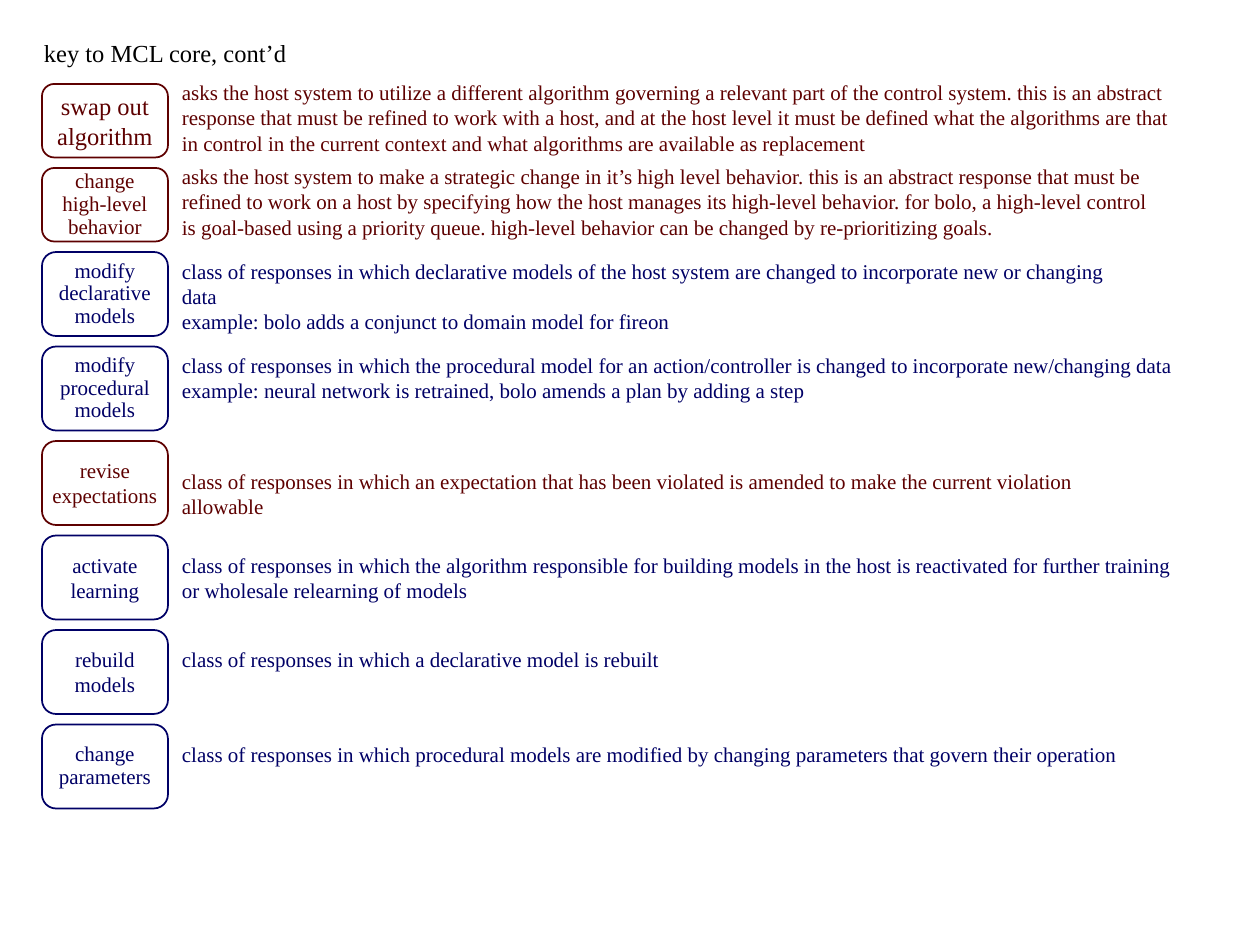
import pptx
import pptx.dml.color
import pptx.enum.shapes
import pptx.enum.text
import pptx.util

COLORS = {"title": "000000", "red": "5E0000", "blue": "000066"}
COLUMNS, ROWS = 120, 90  # twelve grid steps to the inch

# (box top, box height, text top, text width, colour, label size, label spacing,
#  label, description), lengths in grid steps
RESPONSES = [
    (8, 7, 7, 96.5, "red", 14, 1, ["swap out", "algorithm"], [
        "asks the host system to utilize a different algorithm governing a relevant part of the control system. this is an abstract",
        "response that must be refined to work with a host, and at the host level it must be defined what the algorithms are that",
        "in control in the current context and what algorithms are available as replacement"]),
    (16, 7, 15, 94.6, "red", 12, 0.9, ["change", "high-level", "behavior"], [
        "asks the host system to make a strategic change in it’s high level behavior. this is an abstract response that must be",
        "refined to work on a host by specifying how the host manages its high-level behavior. for bolo, a high-level control",
        "is goal-based using a priority queue. high-level behavior can be changed by re-prioritizing goals."]),
    (24, 8, 24, 94.1, "blue", 12, 0.9, ["modify", "declarative", "models"], [
        "class of responses in which declarative models of the host system are changed to incorporate new or changing data",
        "example: bolo adds a conjunct to domain model for fireon"]),
    (33, 8, 33, 96.8, "blue", 12, 0.9, ["modify", "procedural", "models"], [
        "class of responses in which the procedural model for an action/controller is changed to incorporate new/changing data",
        "example: neural network is retrained, bolo amends a plan by adding a step"]),
    (42, 8, 44, 95.5, "red", 12, 1, ["revise", "expectations"], [
        "class of responses in which an expectation that has been violated is amended to make the current violation allowable"]),
    (51, 8, 52, 97.2, "blue", 12, 1, ["activate", "learning"], [
        "class of responses in which the algorithm responsible for building models in the host is reactivated for further training",
        "or wholesale relearning of models"]),
    (60, 8, 61, 47.9, "blue", 12, 1, ["rebuild", "models"], [
        "class of responses in which a declarative model is rebuilt"]),
    (69, 8, 70, 91.6, "blue", 12, 0.9, ["change", "parameters"], [
        "class of responses in which procedural models are modified by changing parameters that govern their operation"]),
]


class KeyPage:
    """Holds the style and the current slide; lengths are grid steps."""

    font = "Times New Roman"

    def __init__(self, deck):
        self.page = deck.slides.add_slide(deck.slide_layouts[6])
        self.column = deck.slide_width / COLUMNS
        self.row = deck.slide_height / ROWS

    def place(self, left, top, width, height):
        return (round(left * self.column), round(top * self.row),
                round(width * self.column), round(height * self.row))

    def color(self, name):
        return pptx.dml.color.RGBColor.from_string(COLORS[name])

    def fill_lines(self, frame, lines, size, color, align, spacing=1):
        frame.word_wrap = False
        for index, line in enumerate(lines):
            para = frame.add_paragraph() if index else frame.paragraphs[0]
            para.text = line
            para.alignment = align
            para.line_spacing = spacing
            para.font.name = self.font
            para.font.size = pptx.util.Pt(size)
            para.font.color.rgb = self.color(color)

    def text(self, left, top, width, lines, size, color):
        height = 1.2 + len(lines) * size * 0.2
        box = self.page.shapes.add_textbox(*self.place(left, top, width, height))
        self.fill_lines(box.text_frame, lines, size, color, pptx.enum.text.PP_ALIGN.LEFT)
        box.text_frame.auto_size = pptx.enum.text.MSO_AUTO_SIZE.SHAPE_TO_FIT_TEXT

    def label(self, top, height, lines, size, color, spacing):
        box = self.page.shapes.add_shape(
            pptx.enum.shapes.MSO_SHAPE.ROUNDED_RECTANGLE, *self.place(4, top, 12, height))
        box.shadow.inherit = False
        box.fill.background()
        box.line.color.rgb = self.color(color)
        box.line.width = pptx.util.Pt(1)
        box.text_frame.vertical_anchor = pptx.enum.text.MSO_ANCHOR.MIDDLE
        self.fill_lines(box.text_frame, lines, size, color,
                        pptx.enum.text.PP_ALIGN.CENTER, spacing)


def main():
    deck = pptx.Presentation()
    deck.slide_width = pptx.util.Inches(10)
    deck.slide_height = pptx.util.Inches(7.5)
    key = KeyPage(deck)

    # Title
    key.text(3, 3, 25.6, ["key to MCL core, cont’d"], 14, "title")

    # One labelled box and its description for each response
    for top, height, text_top, width, color, size, spacing, label, lines in RESPONSES:
        key.label(top, height, label, size, color, spacing)
        key.text(16.15, text_top, width, lines, 12, color)

    deck.save("out.pptx")


if __name__ == "__main__":
    main()
